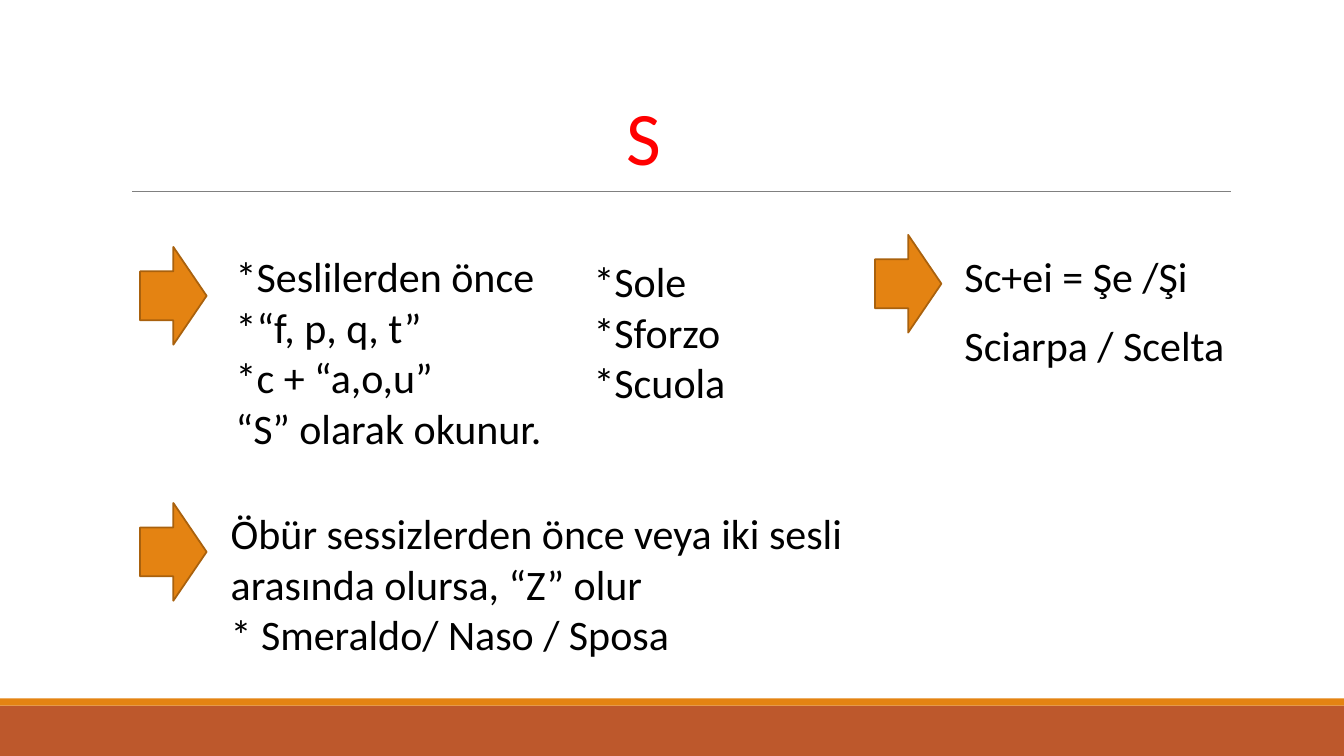
from dataclasses import dataclass

from lxml import etree
from pptx import Presentation
from pptx.dml.color import RGBColor
from pptx.enum.shapes import MSO_CONNECTOR, MSO_SHAPE
from pptx.enum.text import MSO_AUTO_SIZE
from pptx.oxml.ns import qn
from pptx.util import Inches, Pt

RECTANGLE = MSO_SHAPE.RECTANGLE
RIGHT_ARROW = MSO_SHAPE.RIGHT_ARROW
STRAIGHT = MSO_CONNECTOR.STRAIGHT
GROW = MSO_AUTO_SIZE.SHAPE_TO_FIT_TEXT

COLUMNS, ROWS = 40, 30
SLIDE_WIDTH, SLIDE_HEIGHT = Inches(40 / 3), Inches(7.5)


@dataclass(frozen=True)
class Theme:
    font: str = "Calibri"
    title_size: float = 54
    body_size: float = 30
    title: str = "FF0000"
    text: str = "000000"
    orange: str = "E48312"
    rust: str = "BD582C"
    outline: str = "A9610D"
    rule: str = "808080"
    outline_width: float = 1.25
    rule_width: float = 0.5


class SlideBuilder:
    def __init__(self, slide, theme):
        self.slide = slide
        self.theme = theme

    def grid(self, column, row, *size):
        units = (SLIDE_WIDTH / COLUMNS, SLIDE_HEIGHT / ROWS) * 2
        return [round(value * unit) for value, unit in zip((column, row, *size), units)]

    def shape(self, preset, place, fill, outline=None):
        shape = self.slide.shapes.add_shape(preset, *self.grid(*place))
        shape.shadow.inherit = False
        shape.fill.solid()
        shape.fill.fore_color.rgb = RGBColor.from_string(fill)
        if outline:
            shape.line.color.rgb = RGBColor.from_string(outline)
            shape.line.width = Pt(self.theme.outline_width)
        else:
            shape.line.fill.background()

    def arrow(self, column, row):
        self.shape(RIGHT_ARROW, (column, row, 1.98, 3.88), self.theme.orange, self.theme.outline)

    def rule(self, start, end):
        line = self.slide.shapes.add_connector(STRAIGHT, *self.grid(*start), *self.grid(*end))
        line.line.color.rgb = RGBColor.from_string(self.theme.rule)
        line.line.width = Pt(self.theme.rule_width)
        properties = line.element.find(qn("p:spPr"))
        etree.SubElement(properties, qn("a:effectLst"))

    def text(self, place, paragraphs, size=None, color=None, wrap=True, indent=0):
        frame = self.slide.shapes.add_textbox(*self.grid(*place)).text_frame
        frame.word_wrap = wrap
        frame.auto_size = GROW
        frame.text = "\n".join(paragraphs)
        font_format = {"name": self.theme.font, "size": Pt(size or self.theme.body_size)}
        for paragraph in frame.paragraphs:
            if indent:
                properties = paragraph._p.get_or_add_pPr()
                properties.set("marL", str(Inches(indent)))
                properties.set("indent", "0")
            for run in paragraph.runs:
                for name, value in font_format.items():
                    setattr(run.font, name, value)
                run.font.color.rgb = RGBColor.from_string(color or self.theme.text)


def main():
    presentation = Presentation()
    presentation.slide_width = SLIDE_WIDTH
    presentation.slide_height = SLIDE_HEIGHT
    theme = Theme()
    builder = SlideBuilder(presentation.slides.add_slide(presentation.slide_layouts[6]), theme)

    builder.shape(RECTANGLE, (0, 28, COLUMNS, 2), theme.rust)
    builder.shape(RECTANGLE, (0, 27.72, COLUMNS, 0.28), theme.orange)
    builder.rule((3.93, 7.6), (36.63, 7.6))
    builder.text((18.36, 3.36, 1.65, 4.04), ["S"], theme.title_size, theme.title, wrap=False)

    for column, row in ((4.17, 9.8), (4.17, 19.96), (26.04, 9.32)):
        builder.arrow(column, row)

    builder.text(
        (6.72, 9.76, 17.67, 8.48),
        ["*Seslilerden önce\v*“f, p, q, t”", "*c + “a,o,u”", "“S” olarak okunur."],
    )
    builder.text((17.37, 9.96, 17.67, 6.48), ["*Sole\v*Sforzo", "*Scuola"])
    builder.text(
        (-0.93, 19.96, 27.66, 6.48),
        ["Öbür sessizlerden önce veya iki sesli arasında olursa, “Z” olur", "* Smeraldo/ Naso / Sposa"],
        indent=2.5,
    )
    for row, example in ((9.76, "Sc+ei = Şe /Şi"), (12.48, "Sciarpa / Scelta")):
        builder.text((28.41, row, 17.67, 2.44), [example])

    presentation.save("out.pptx")


if __name__ == "__main__":
    main()
